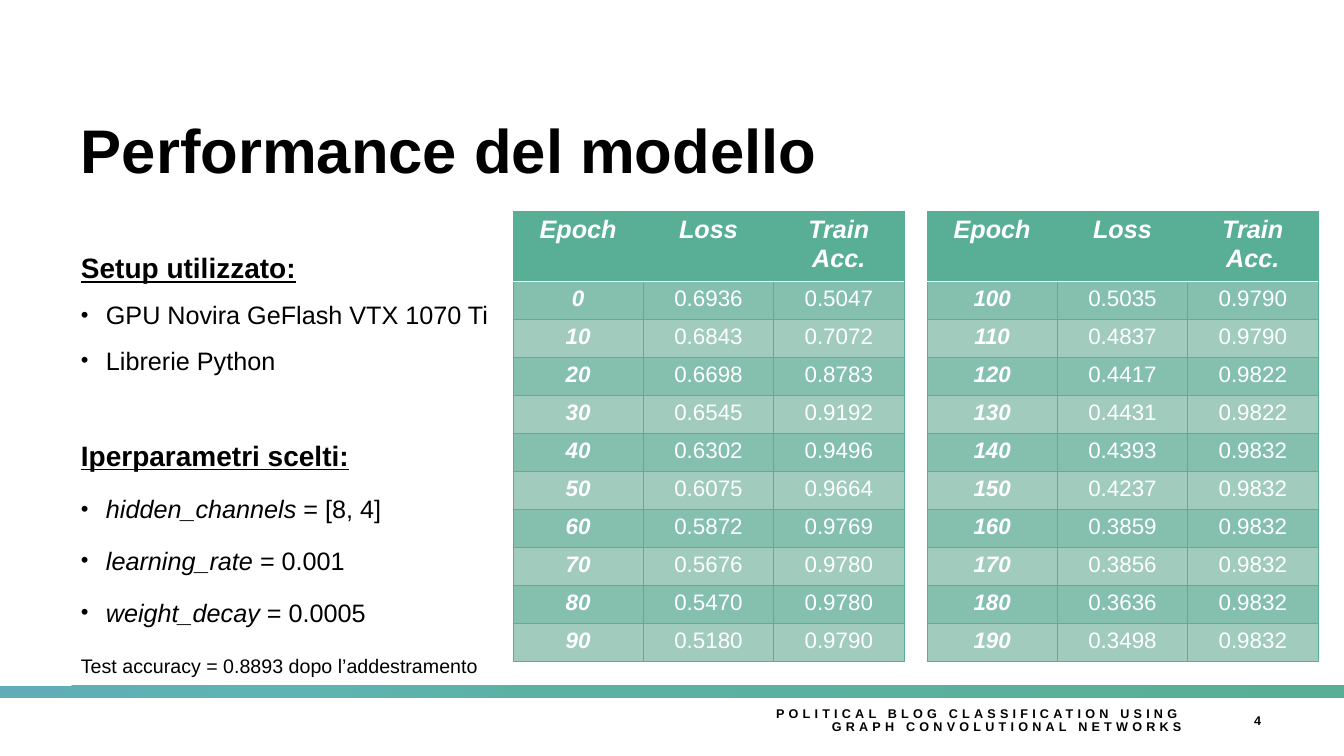
from pptx import Presentation
from pptx.dml.color import RGBColor
from pptx.enum.shapes import MSO_SHAPE
from pptx.enum.text import MSO_ANCHOR, PP_ALIGN
from pptx.oxml import parse_xml
from pptx.oxml.ns import nsdecls, qn
from pptx.util import Emu, Pt

LEFT, CENTER, RIGHT = PP_ALIGN.LEFT, PP_ALIGN.CENTER, PP_ALIGN.RIGHT
TOP, MIDDLE = MSO_ANCHOR.TOP, MSO_ANCHOR.MIDDLE
RECTANGLE = MSO_SHAPE.RECTANGLE

SLIDE_WIDTH, SLIDE_HEIGHT = 1344, 756
EMU_PER_PX = 12192000 / SLIDE_WIDTH
FONT = "Arial"
BLACK, WHITE = "000000", "FFFFFF"
GREEN, BAND_DARK, BAND_LIGHT = "59AF95", "84C0AD", "A0CBBD"
BAR_STOPS = [(0, GREEN), (60, "5BB2A4"), (79, "5EB4B2"), (100, "60ADB7")]

HEADERS = ["Epoch", "Loss", "Train Acc."]
FIRST_EPOCHS = [
    ("0", "0.6936", "0.5047"), ("10", "0.6843", "0.7072"),
    ("20", "0.6698", "0.8783"), ("30", "0.6545", "0.9192"),
    ("40", "0.6302", "0.9496"), ("50", "0.6075", "0.9664"),
    ("60", "0.5872", "0.9769"), ("70", "0.5676", "0.9780"),
    ("80", "0.5470", "0.9780"), ("90", "0.5180", "0.9790"),
]
LAST_EPOCHS = [
    ("100", "0.5035", "0.9790"), ("110", "0.4837", "0.9790"),
    ("120", "0.4417", "0.9822"), ("130", "0.4431", "0.9822"),
    ("140", "0.4393", "0.9832"), ("150", "0.4237", "0.9832"),
    ("160", "0.3859", "0.9832"), ("170", "0.3856", "0.9832"),
    ("180", "0.3636", "0.9832"), ("190", "0.3498", "0.9832"),
]
HARDWARE = ["GPU Novira GeFlash VTX 1070 Ti", "Librerie Python"]
HYPERPARAMETERS = [("hidden_channels", " = [8, 4]"), ("learning_rate", " = 0.001"),
                   ("weight_decay", " = 0.0005")]


def px(length):
    return Emu(round(length * EMU_PER_PX))


def color(value):
    return RGBColor.from_string(value)


def add_run(paragraph, text, size, fill=BLACK, bold=False, italic=False, underline=False,
            tracking=0):
    run = paragraph.add_run()
    run.text = text
    font = run.font
    font.name, font.size = FONT, Pt(size)
    font.bold, font.italic, font.underline = bold, italic, underline
    font.color.rgb = color(fill)
    if tracking:
        run.font._element.set("spc", str(tracking * 100))


def add_text_frame(slide, box, anchor=TOP):
    frame = slide.shapes.add_textbox(*map(px, box)).text_frame
    frame.word_wrap = True
    frame.vertical_anchor = anchor
    return frame


def format_paragraph(paragraph, align=LEFT, line_spacing=1.0, before=0):
    paragraph.alignment = align
    paragraph.line_spacing = line_spacing
    paragraph.space_before = Pt(before)
    return paragraph


def add_bullet(paragraph):
    properties = paragraph._p.get_or_add_pPr()
    properties.set("marL", str(px(25)))
    properties.set("indent", str(px(-25)))
    for markup in ('<a:buSzPct %s val="87000"/>', '<a:buFont %s typeface="Arial"/>',
                   '<a:buChar %s char="•"/>'):
        properties.append(parse_xml(markup % nsdecls("a")))


def add_title(slide, box):
    paragraph = format_paragraph(add_text_frame(slide, box).paragraphs[0])
    add_run(paragraph, "Performance del modello", 44, bold=True)


def add_setup_notes(slide, box):
    frame = add_text_frame(slide, box)
    heading = format_paragraph(frame.paragraphs[0], line_spacing=1.2)
    add_run(heading, "Setup utilizzato:", 20, bold=True, underline=True)
    for item in HARDWARE:
        paragraph = format_paragraph(frame.add_paragraph(), before=11)
        add_bullet(paragraph)
        add_run(paragraph, item, 18)

    heading = format_paragraph(frame.add_paragraph(), before=45)
    add_run(heading, "Iperparametri scelti:", 20, bold=True, underline=True)
    for name, value in HYPERPARAMETERS:
        paragraph = format_paragraph(frame.add_paragraph(), line_spacing=1.2, before=11)
        add_bullet(paragraph)
        add_run(paragraph, name, 18, italic=True)
        add_run(paragraph, value, 18)

    result = format_paragraph(frame.add_paragraph(), line_spacing=1.5, before=11)
    add_run(result, "Test accuracy = 0.8893 dopo l’addestramento", 14)


def set_border(cell, side, line_color, points):
    cell._tc.get_or_add_tcPr().append(parse_xml(
        f'<a:ln{side} {nsdecls("a")} w="{Pt(points)}"><a:solidFill>'
        f'<a:srgbClr val="{line_color}"/></a:solidFill></a:ln{side}>'))


def add_epoch_table(slide, box, records):
    left, top, width, height = box
    rows = [HEADERS] + records
    row_height = 38
    table = slide.shapes.add_table(len(rows), len(HEADERS), *map(px, box)).table
    table.horz_banding = False
    for column in table.columns:
        column.width = px(width / len(HEADERS))
    for row in table.rows:
        row.height = px(row_height)
    table.rows[0].height = px(height - row_height * len(records))

    for r, values in enumerate(rows):
        header = r == 0
        for c, value in enumerate(values):
            cell = table.cell(r, c)
            for side in "LRTB":
                divider = (header and side == "B") or (r == 1 and side == "T")
                set_border(cell, side, *((WHITE, 1) if divider else (GREEN, 0.5)))
            cell.fill.solid()
            band = BAND_DARK if r % 2 else BAND_LIGHT
            cell.fill.fore_color.rgb = color(GREEN if header else band)
            emphasis = header or c == 0
            paragraph = format_paragraph(cell.text_frame.paragraphs[0], CENTER)
            add_run(paragraph, value, 18 if header else 16, WHITE, emphasis, emphasis)


def add_gradient_bar(slide, box):
    bar = slide.shapes.add_shape(RECTANGLE, *map(px, box))
    bar.shadow.inherit = False
    bar.line.fill.background()
    bar.fill.background()
    stops = "".join(f'<a:gs pos="{position * 1000}"><a:srgbClr val="{value}"/></a:gs>'
                    for position, value in BAR_STOPS)
    gradient = parse_xml(
        f'<a:gradFill {nsdecls("a")} rotWithShape="1"><a:gsLst>{stops}</a:gsLst>'
        '<a:path path="circle"><a:fillToRect l="100000" t="100000"/></a:path></a:gradFill>')
    properties = bar._element.spPr
    properties.replace(properties.find(qn("a:noFill")), gradient)


def add_footer(slide, box):
    left, top, width, height = box
    number_width = 80
    title_width = width - number_width
    parts = [
        ("POLITICAL BLOG CLASSIFICATION USING GRAPH CONVOLUTIONAL NETWORKS",
         left, title_width, 0.9),
        ("4", left + title_width, number_width, 1.0),
    ]
    for text, x, part_width, line_spacing in parts:
        frame = add_text_frame(slide, (x, top, part_width, height), MIDDLE)
        paragraph = format_paragraph(frame.paragraphs[0], RIGHT, line_spacing)
        add_run(paragraph, text, 9, bold=True, tracking=3)


def main():
    presentation = Presentation()
    presentation.slide_width, presentation.slide_height = px(SLIDE_WIDTH), px(SLIDE_HEIGHT)
    slide = presentation.slides.add_slide(presentation.slide_layouts[6])
    add_footer(slide, (746, 701, 525, 40))
    add_title(slide, (71, 107, 833, 90))
    add_gradient_bar(slide, (0, 686, SLIDE_WIDTH, 12))
    add_setup_notes(slide, (71, 239, 443, 440))
    for left, records in ((513, FIRST_EPOCHS), (927, LAST_EPOCHS)):
        add_epoch_table(slide, (left, 211, 391, 447), records)
    presentation.save("out.pptx")


if __name__ == "__main__":
    main()
